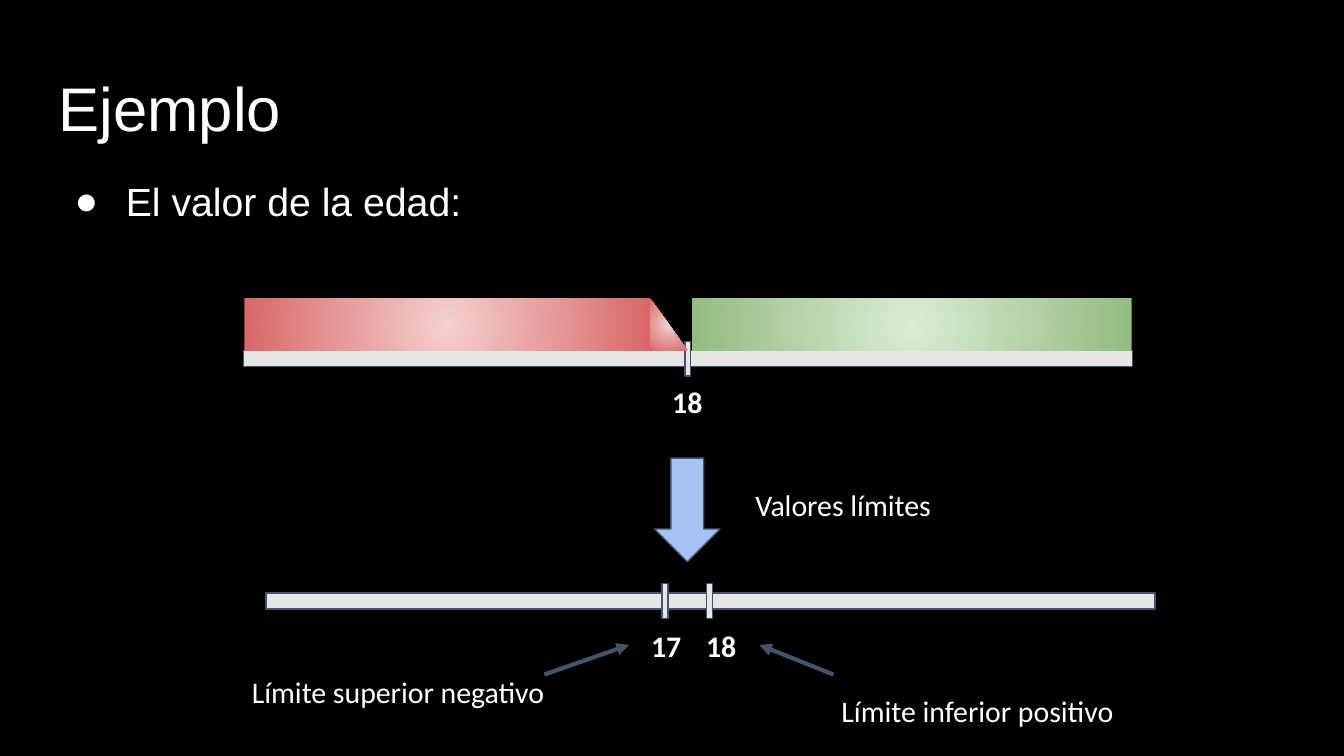
from lxml import etree
from pptx import Presentation
from pptx.dml.color import RGBColor
from pptx.enum.shapes import MSO_CONNECTOR, MSO_SHAPE
from pptx.enum.text import MSO_ANCHOR, PP_ALIGN
from pptx.oxml import parse_xml
from pptx.oxml.ns import qn
from pptx.util import Cm, Pt

BLACK = RGBColor(0x00, 0x00, 0x00)
WHITE = RGBColor(0xFF, 0xFF, 0xFF)
GREY = RGBColor(0xE7, 0xE6, 0xE6)
SLATE = RGBColor(0x44, 0x54, 0x6A)
BLUE = RGBColor(0xA4, 0xC2, 0xF4)
RED_RANGE = (RGBColor(0xF5, 0xD0, 0xD0), RGBColor(0xD9, 0x68, 0x68))
GREEN_RANGE = (RGBColor(0xDC, 0xEC, 0xD5), RGBColor(0x93, 0xBC, 0x81))

TITLE = "Ejemplo"
BULLET = "El valor de la edad:"
AXES = [
    {"left": 1.57, "middle": 6.78, "ticks": [13.0]},
    {"left": 2.0, "middle": 11.36, "ticks": [12.57, 13.41]},
]
AXIS_W, AXIS_H = 22.86, 1.27
TICK_W, TICK_H = 0.15, 2.79
RANGE_TOP, RANGE_H = 5.64, 0.99
RANGES = [
    (MSO_SHAPE.RECTANGLE, 13.08, 8.31, GREEN_RANGE),
    (MSO_SHAPE.RIGHT_TRIANGLE, 12.29, 0.71, RED_RANGE),
    (MSO_SHAPE.RECTANGLE, 4.62, 7.67, RED_RANGE),
]
NUMBERS = [("18", 12.29, 6.96), ("17", 11.89, 11.56), ("18", 12.93, 11.56)]
CAPTIONS = [
    ("Valores límites", 13.61, 9.04, 4.65),
    ("Límite superior negativo", 4.06, 12.57, 6.93),
    ("Límite inferior positivo", 15.01, 12.93, 6.93),
]
POINTERS = [(10.29, 12.75, 11.89, 12.19), (15.75, 12.75, 14.35, 12.19)]

A = "http://schemas.openxmlformats.org/drawingml/2006/main"

prs = Presentation()
prs.slide_width, prs.slide_height = Cm(25.4), Cm(14.29)
slide = prs.slides.add_slide(prs.slide_layouts[6])
slide.background.fill.solid()
slide.background.fill.fore_color.rgb = BLACK


def add_text(text, left, top, width, height, size, font="Calibri", bold=False, centred=True):
    box = slide.shapes.add_textbox(Cm(left), Cm(top), Cm(width), Cm(height))
    frame = box.text_frame
    frame.word_wrap = True
    frame.margin_left = frame.margin_right = Cm(0.25)
    frame.margin_top = frame.margin_bottom = Cm(0.25)
    frame.vertical_anchor = MSO_ANCHOR.MIDDLE if centred else MSO_ANCHOR.TOP
    paragraph = frame.paragraphs[0]
    paragraph.alignment = PP_ALIGN.CENTER if centred else PP_ALIGN.LEFT
    paragraph.line_spacing = 1.0 if centred else 0.9
    run = paragraph.add_run()
    run.text = text
    run.font.size, run.font.name, run.font.bold = Pt(size), font, bold
    run.font.color.rgb = WHITE
    return paragraph


def add_solid(kind, left, top, width, height, color, adjustments):
    shape = slide.shapes.add_shape(kind, Cm(left), Cm(top), Cm(width), Cm(height))
    shape.shadow.inherit = False
    for index, value in enumerate(adjustments):
        shape.adjustments[index] = value
    shape.fill.solid()
    shape.fill.fore_color.rgb = color
    shape.line.color.rgb = SLATE
    shape.line.width = Pt(0.75)


def add_minus(left, middle, width, height):
    add_solid(MSO_SHAPE.MATH_MINUS, left, middle - height / 2, width, height, GREY, [0.235])


def add_range(kind, left, width, colors):
    shape = slide.shapes.add_shape(kind, Cm(left), Cm(RANGE_TOP), Cm(width), Cm(RANGE_H))
    shape.shadow.inherit = False
    shape.line.fill.background()
    shape.fill.background()
    inner, outer = colors
    gradient = parse_xml(
        f'<a:gradFill xmlns:a="{A}" rotWithShape="1"><a:gsLst>'
        f'<a:gs pos="0"><a:srgbClr val="{inner}"/></a:gs>'
        f'<a:gs pos="100000"><a:srgbClr val="{outer}"/></a:gs></a:gsLst>'
        '<a:path path="circle"><a:fillToRect l="50000" t="50000" r="50000" b="50000"/></a:path>'
        '</a:gradFill>'
    )
    properties = shape.element.spPr
    properties.replace(properties.find(qn("a:noFill")), gradient)


def add_pointer(*ends):
    pointer = slide.shapes.add_connector(MSO_CONNECTOR.STRAIGHT, *map(Cm, ends))
    pointer.line.color.rgb = SLATE
    pointer.line.width = Pt(2.25)
    etree.SubElement(pointer.line._get_or_add_ln(), qn("a:tailEnd"), type="triangle")
    etree.SubElement(pointer.element.spPr, qn("a:effectLst"))


add_text(TITLE, 0.86, 1.24, 23.67, 1.6, 33, "Arial", centred=False)
bullet = add_text(BULLET, 0.86, 3.2, 23.67, 9.5, 21, "Arial", centred=False)
bullet_format = bullet._p.get_or_add_pPr()
bullet_format.set("marL", str(Cm(1.27)))
bullet_format.set("indent", str(Cm(-0.97)))
etree.SubElement(bullet_format, qn("a:buFont"), typeface="Arial")
etree.SubElement(bullet_format, qn("a:buChar"), char="●")

for axis in AXES:
    add_minus(axis["left"], axis["middle"], AXIS_W, AXIS_H)
    for center in axis["ticks"]:
        add_minus(center - TICK_W / 2, axis["middle"], TICK_W, TICK_H)
for value_range in RANGES:
    add_range(*value_range)
add_solid(MSO_SHAPE.DOWN_ARROW, 12.37, 8.66, 1.24, 1.96, BLUE, [0.5, 0.5])
for number, left, top in NUMBERS:
    add_text(number, left, top, 1.4, 1.27, 16, bold=True)
for caption, left, top, width in CAPTIONS:
    add_text(caption, left, top, width, 0.99, 16)
for pointer_ends in POINTERS:
    add_pointer(*pointer_ends)

prs.save("out.pptx")
